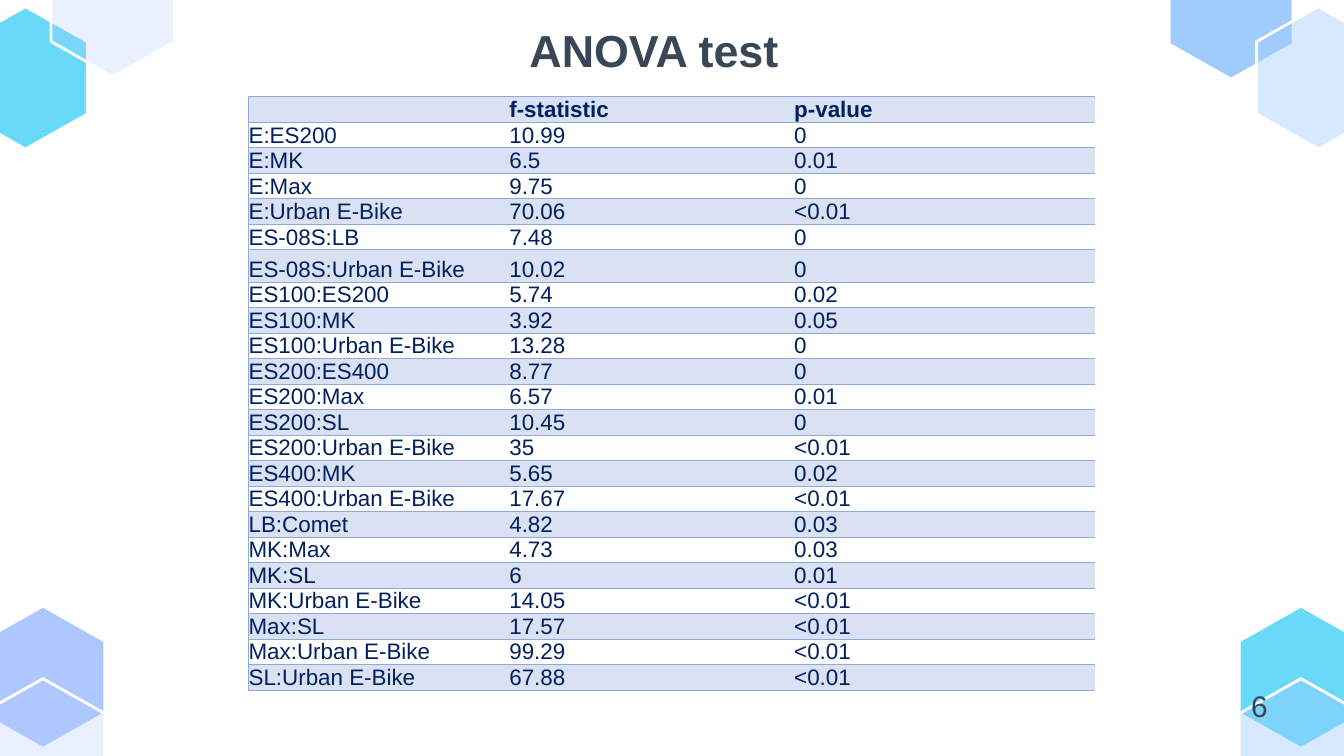
import dataclasses

import pptx
import pptx.dml.color
import pptx.enum.text
import pptx.oxml.ns
import pptx.util
from lxml import etree

Inches = pptx.util.Inches
Pt = pptx.util.Pt
Anchor = pptx.enum.text.MSO_ANCHOR

SLATE, NAVY, BAND, RULE = "384655", "002060", "D9E1F2", "8EA9DB"
PERIWINKLE, CYAN, SKY, WHITE = "AFC7FF", "68DAF8", "9FCBFD", "FFFFFF"
FONT = "Arial"
PLAIN_TABLE_STYLE = "{2D5ABB26-0587-4C30-8999-92F81FD0307C}"


@dataclasses.dataclass(frozen=True)
class Hexagon:
    left: float
    top: float
    color: str
    opacity: int = 100


@dataclasses.dataclass(frozen=True)
class Comparison:
    pair: str
    f_statistic: str
    p_value: str


HEXAGONS = [
    Hexagon(-0.14, 4.51, PERIWINKLE),
    Hexagon(-0.14, 5.05, PERIWINKLE, 25),
    Hexagon(-0.27, 0.05, CYAN),
    Hexagon(0.38, -0.49, PERIWINKLE, 25),
    Hexagon(8.7, -0.47, SKY),
    Hexagon(9.35, 0.05, SKY, 41),
    Hexagon(9.22, 4.51, CYAN),
    Hexagon(9.22, 5.05, SKY, 41),
]

COMPARISONS = [
    Comparison("E:ES200", "10.99", "0"),
    Comparison("E:MK", "6.5", "0.01"),
    Comparison("E:Max", "9.75", "0"),
    Comparison("E:Urban E-Bike", "70.06", "<0.01"),
    Comparison("ES-08S:LB", "7.48", "0"),
    Comparison("ES-08S:Urban E-Bike", "10.02", "0"),
    Comparison("ES100:ES200", "5.74", "0.02"),
    Comparison("ES100:MK", "3.92", "0.05"),
    Comparison("ES100:Urban E-Bike", "13.28", "0"),
    Comparison("ES200:ES400", "8.77", "0"),
    Comparison("ES200:Max", "6.57", "0.01"),
    Comparison("ES200:SL", "10.45", "0"),
    Comparison("ES200:Urban E-Bike", "35", "<0.01"),
    Comparison("ES400:MK", "5.65", "0.02"),
    Comparison("ES400:Urban E-Bike", "17.67", "<0.01"),
    Comparison("LB:Comet", "4.82", "0.03"),
    Comparison("MK:Max", "4.73", "0.03"),
    Comparison("MK:SL", "6", "0.01"),
    Comparison("MK:Urban E-Bike", "14.05", "<0.01"),
    Comparison("Max:SL", "17.57", "<0.01"),
    Comparison("Max:Urban E-Bike", "99.29", "<0.01"),
    Comparison("SL:Urban E-Bike", "67.88", "<0.01"),
]
COLUMN_WIDTHS = [1.94, 2.12, 1.98, 0.26]
ROW_HEIGHT, TALL_ROW, TALL_ROW_HEIGHT = 0.19, 6, 0.24


def rgb(color: str) -> pptx.dml.color.RGBColor:
    return pptx.dml.color.RGBColor.from_string(color)


def apply(target, values: dict) -> None:
    for attribute, value in values.items():
        setattr(target, attribute, value)


def margins(size: float) -> dict:
    return {f"margin_{side}": Inches(size) for side in ("left", "top", "right", "bottom")}


def write(paragraph, text: str, size: int, color: str, bold: bool = False) -> None:
    run = paragraph.add_run()
    run.text = text
    apply(run.font, {"name": FONT, "size": Pt(size), "bold": bold})
    run.font.color.rgb = rgb(color)


def sub(parent, tag: str, **attributes: str):
    return etree.SubElement(parent, pptx.oxml.ns.qn(tag), **attributes)


def draw_hexagon(slide, hexagon: Hexagon) -> None:
    width, height, shoulder = 0.92, 1.06, 0.26
    outline = [(width / 2, 0), (0, shoulder), (0, height - shoulder),
               (width / 2, height), (width, height - shoulder), (width, shoulder)]
    points = [(Inches(hexagon.left + x), Inches(hexagon.top + y)) for x, y in outline]
    builder = slide.shapes.build_freeform(*points[0])
    builder.add_line_segments(points[1:], close=True)
    shape = builder.convert_to_shape()
    shape.shadow.inherit = False
    shape.fill.solid()
    shape.fill.fore_color.rgb = rgb(hexagon.color)
    shape.line.color.rgb = rgb(WHITE)
    shape.line.width = Pt(1.5)
    if hexagon.opacity < 100:
        fill_color = shape.fill._xPr.find(".//" + pptx.oxml.ns.qn("a:srgbClr"))
        sub(fill_color, "a:alpha", val=str(hexagon.opacity * 1000))


def rule_cell(cell, sides: list[str]) -> None:
    """Add thin borders, which must come before the fill."""
    properties = cell._tc.get_or_add_tcPr()
    for position, side in enumerate(sides):
        border = sub(properties, f"a:ln{side}", w=str(Pt(0.5)))
        sub(sub(border, "a:solidFill"), "a:srgbClr", val=RULE)
        properties.insert(position, border)


def format_cell(cell, text: str, header: bool, banded: bool, first: bool) -> None:
    apply(cell, {"vertical_anchor": Anchor.BOTTOM, **margins(0)})
    if banded:
        cell.fill.solid()
        cell.fill.fore_color.rgb = rgb(BAND)
    else:
        cell.fill.background()
    rule_cell(cell, ["L", "T", "B"] if first else ["T", "B"])
    paragraph = cell.text_frame.paragraphs[0]
    if text:
        write(paragraph, text, 12, NAVY, header)
    else:
        sub(sub(paragraph._p, "a:endParaRPr", sz="1200"), "a:latin", typeface=FONT)


def draw_table(slide) -> None:
    rows = [("", "f-statistic", "p-value", "")]
    rows += [(*dataclasses.astuple(comparison), "") for comparison in COMPARISONS]
    table = slide.shapes.add_table(
        len(rows), len(COLUMN_WIDTHS), Inches(1.85), Inches(0.72),
        Inches(sum(COLUMN_WIDTHS)), Inches(ROW_HEIGHT * len(rows))).table
    apply(table, {"first_row": True, "horz_banding": False})
    table._tbl.tblPr.find(pptx.oxml.ns.qn("a:tableStyleId")).text = PLAIN_TABLE_STYLE
    for column, width in zip(table.columns, COLUMN_WIDTHS):
        column.width = Inches(width)
    for r, texts in enumerate(rows):
        table.rows[r].height = Inches(TALL_ROW_HEIGHT if r == TALL_ROW else ROW_HEIGHT)
        for c, text in enumerate(texts):
            format_cell(table.cell(r, c), text, r == 0, r % 2 == 0, c == 0)
        if r > 0:
            table.cell(r, 2).merge(table.cell(r, 3))


def main() -> None:
    # Widescreen page, 16:9
    deck = pptx.Presentation()
    apply(deck, {"slide_width": Inches(10), "slide_height": Inches(10 * 9 / 16)})
    slide = deck.slides.add_slide(deck.slide_layouts[5])

    # Corner hexagons
    for hexagon in HEXAGONS:
        draw_hexagon(slide, hexagon)

    # Title
    title = slide.shapes.title
    apply(title, {"left": Inches(1.5), "top": Inches(0.07),
                  "width": Inches(6.73), "height": Inches(0.59)})
    apply(title.text_frame, {"vertical_anchor": Anchor.TOP, "word_wrap": True,
                             "auto_size": pptx.enum.text.MSO_AUTO_SIZE.NONE,
                             **margins(0.1)})
    heading = title.text_frame.paragraphs[0]
    heading.alignment = pptx.enum.text.PP_ALIGN.CENTER
    write(heading, "ANOVA test", 24, SLATE, True)

    # Results table
    draw_table(slide)

    # Page number
    page_number = slide.shapes.add_textbox(
        Inches(9.21), Inches(5.07), Inches(0.81), Inches(0.37)).text_frame
    page_number.word_wrap = True
    write(page_number.paragraphs[0], "6", 16, SLATE)

    deck.save("out.pptx")


if __name__ == "__main__":
    main()
